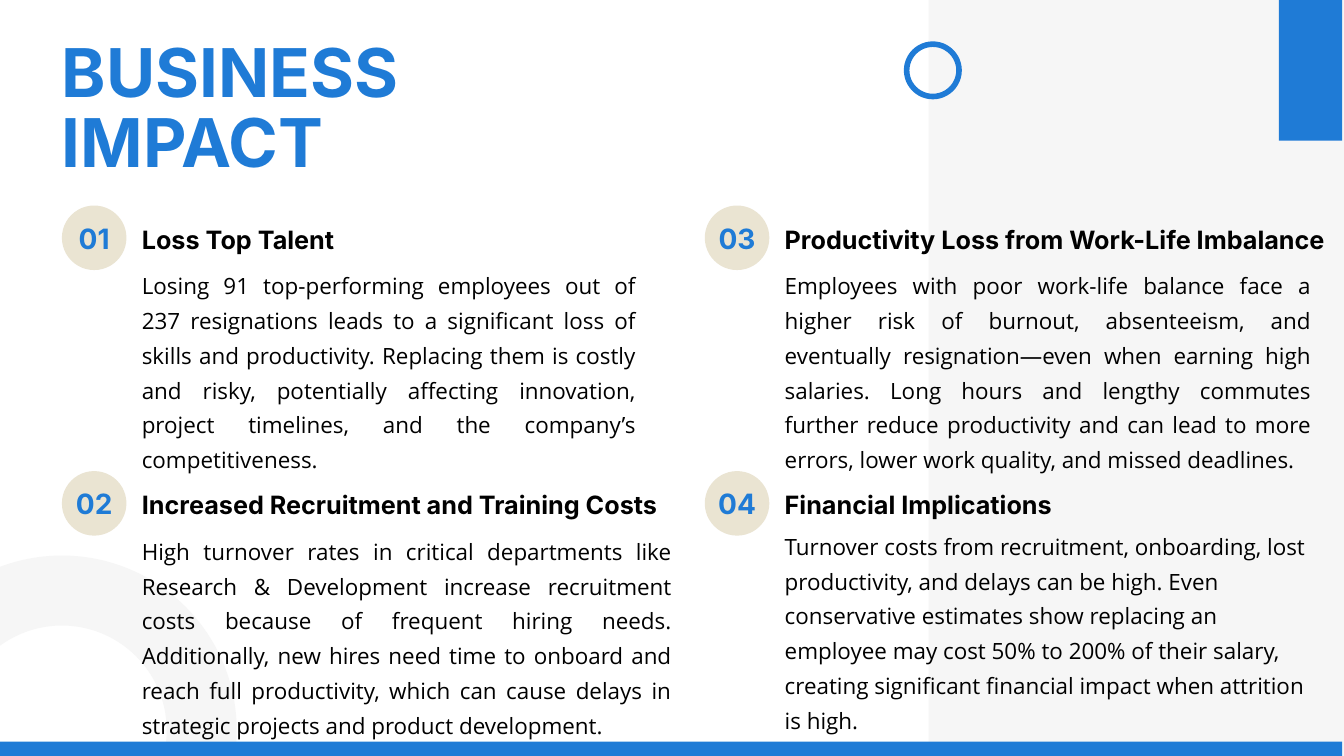
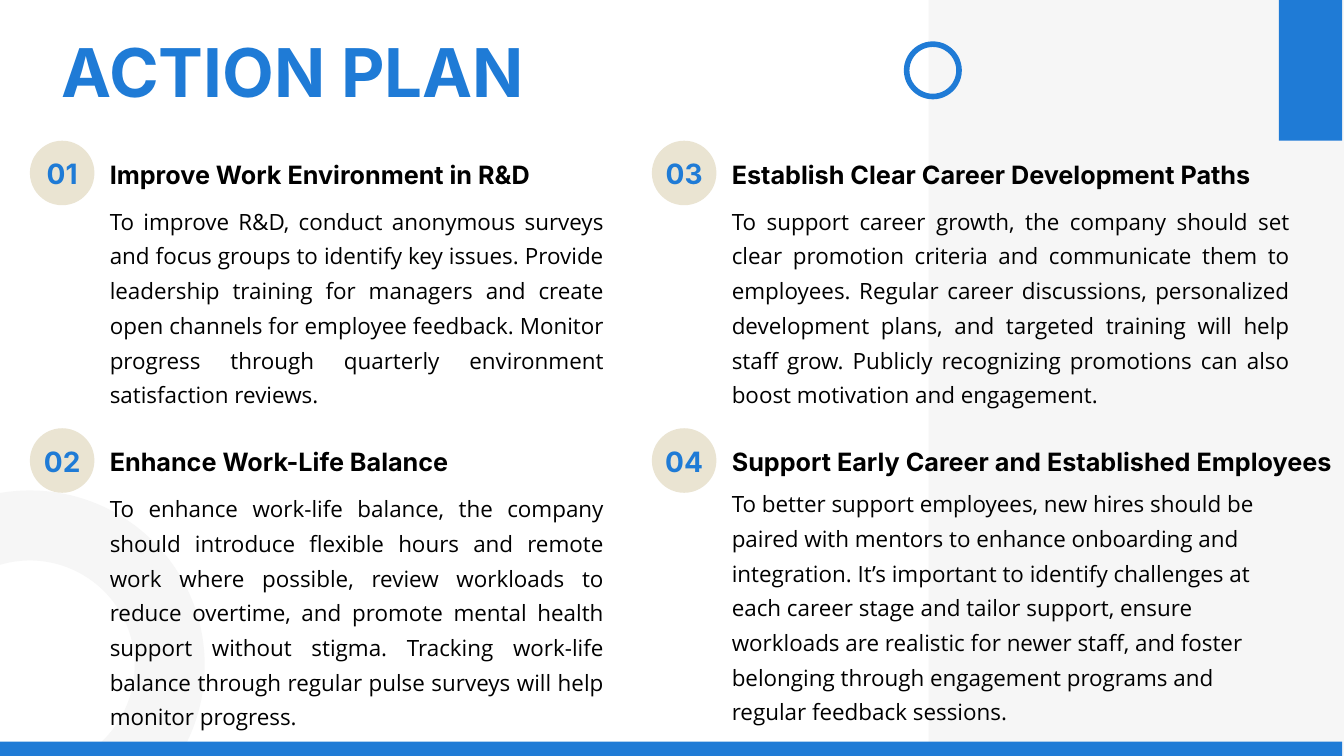
from dataclasses import dataclass

from pptx import Presentation
from pptx.dml.color import RGBColor
from pptx.enum.shapes import MSO_SHAPE
from pptx.enum.text import MSO_ANCHOR, MSO_AUTO_SIZE, PP_ALIGN
from pptx.util import Cm, Pt


@dataclass(frozen=True)
class TextStyle:
    font: str
    size: float
    spacing: float
    color: RGBColor
    bold: bool


@dataclass(frozen=True)
class Theme:
    blue = RGBColor(0x1F, 0x7B, 0xD6)
    gray = RGBColor(0xF6, 0xF6, 0xF6)
    sand = RGBColor(0xEA, 0xE4, 0xD2)
    black = RGBColor(0, 0, 0)
    title = TextStyle("Inter", 72, 75.6, blue, True)
    number = TextStyle("Inter", 30, 42, blue, True)
    heading = TextStyle("Inter", 27, 37.8, black, True)
    body = TextStyle("Open Sans", 24, 37.2, black, False)


@dataclass(frozen=True)
class Point:
    """One numbered point; widths and heights are in centimetres."""
    heading: str
    heading_width: float
    body: str
    body_width: float
    body_height: float = 7.7
    body_offset: float = 2.24
    align: PP_ALIGN = PP_ALIGN.JUSTIFY


@dataclass(frozen=True)
class PointSlide:
    title_lines: list
    columns: tuple
    rows: tuple
    ring_center: float
    points: list


THEME = Theme()
SLIDE_WIDTH, SLIDE_HEIGHT = 50.8, 28.58
BADGE_SIZE = 2.44
RING_SIZE = 10.57
TEXT_INDENT = 3.02
HEADING_OFFSET = 0.51
TITLE_LEFT, TITLE_TOP = 2.34, 1.52

SLIDES = [
    PointSlide(
        ["BUSINESS", "IMPACT"], (2.34, 26.64), (7.77, 17.81), 27.61,
        [
            Point(
                "Loss Top Talent", 13.54,
                "Losing 91 top-performing employees out of 237 resignations leads to a "
                "significant loss of skills and productivity. Replacing them is costly and "
                "risky, potentially affecting innovation, project timelines, and the "
                "company’s competitiveness.", 18.67),
            Point(
                "Increased Recruitment and Training Costs", 20.04,
                "High turnover rates in critical departments like Research & Development "
                "increase recruitment costs because of frequent hiring needs. Additionally, "
                "new hires need time to onboard and reach full productivity, which can "
                "cause delays in strategic projects and product development.", 20.02),
            Point(
                "Productivity Loss from Work-Life Imbalance", 21.08,
                "Employees with poor work-life balance face a higher risk of burnout, "
                "absenteeism, and eventually resignation—even when earning high salaries. "
                "Long hours and lengthy commutes further reduce productivity and can lead "
                "to more errors, lower work quality, and missed deadlines.", 19.89),
            Point(
                "Financial Implications", 18.67,
                "Turnover costs from recruitment, onboarding, lost productivity, and delays "
                "can be high. Even conservative estimates show replacing an employee may "
                "cost 50% to 200% of their salary, creating significant financial impact "
                "when attrition is high.", 19.89, body_offset=2.05, align=PP_ALIGN.LEFT),
        ]),
    PointSlide(
        ["ACTION PLAN"], (1.13, 24.64), (5.32, 16.19), 25.15,
        [
            Point(
                "Improve Work Environment in R&D", 20.02,
                "To improve R&D, conduct anonymous surveys and focus groups to identify key "
                "issues. Provide leadership training for managers and create open channels "
                "for employee feedback. Monitor progress through quarterly environment "
                "satisfaction reviews.", 18.67),
            Point(
                "Enhance Work-Life Balance", 20.04,
                "To enhance work-life balance, the company should introduce flexible hours "
                "and remote work where possible, review workloads to reduce overtime, and "
                "promote mental health support without stigma. Tracking work-life balance "
                "through regular pulse surveys will help monitor progress.", 18.67, 9),
            Point(
                "Establish Clear Career Development Paths", 21.08,
                "To support career growth, the company should set clear promotion criteria "
                "and communicate them to employees. Regular career discussions, "
                "personalized development plans, and targeted training will help staff "
                "grow. Publicly recognizing promotions can also boost motivation and "
                "engagement.", 21.08),
            Point(
                "Support Early Career and Established Employees", 23.93,
                "To better support employees, new hires should be paired with mentors to "
                "enhance onboarding and integration. It’s important to identify challenges "
                "at each career stage and tailor support, ensure workloads are realistic "
                "for newer staff, and foster belonging through engagement programs and "
                "regular feedback sessions.", 19.89, 9, 2.05, PP_ALIGN.LEFT),
        ]),
]


def write_lines(frame, lines, style, align):
    frame.margin_left = frame.margin_top = frame.margin_right = frame.margin_bottom = 0
    for index, line in enumerate(lines):
        paragraph = frame.add_paragraph() if index else frame.paragraphs[0]
        paragraph.text = line
        paragraph.alignment = align
        paragraph.line_spacing = Pt(style.spacing)
        paragraph.font.name = style.font
        paragraph.font.size = Pt(style.size)
        paragraph.font.bold = style.bold
        paragraph.font.color.rgb = style.color


def add_text(slide, lines, style, left, top, width, height, align=PP_ALIGN.LEFT):
    shape = slide.shapes.add_textbox(Cm(left), Cm(top), Cm(width), Cm(height))
    shape.text_frame.word_wrap = True
    shape.text_frame.auto_size = MSO_AUTO_SIZE.SHAPE_TO_FIT_TEXT
    write_lines(shape.text_frame, lines, style, align)


def add_filled(slide, kind, left, top, width, height, color):
    shape = slide.shapes.add_shape(kind, Cm(left), Cm(top), Cm(width), Cm(height))
    shape.shadow.inherit = False
    shape.fill.solid()
    shape.fill.fore_color.rgb = color
    shape.line.fill.background()
    return shape


def add_ring(slide, center_x, center_y, size, color, weight):
    shape = slide.shapes.add_shape(
        MSO_SHAPE.OVAL, Cm(center_x - size / 2), Cm(center_y - size / 2), Cm(size), Cm(size))
    shape.shadow.inherit = False
    shape.fill.background()
    shape.line.color.rgb = color
    shape.line.width = Pt(weight)


def add_decoration(slide, ring_x, ring_y):
    add_filled(slide, MSO_SHAPE.RECTANGLE, 35.1, 0, SLIDE_WIDTH - 35.1, SLIDE_HEIGHT, THEME.gray)
    add_ring(slide, ring_x, ring_y, RING_SIZE, THEME.gray, 75)
    add_filled(slide, MSO_SHAPE.RECTANGLE, 48.34, 0, 2.39, 5.32, THEME.blue)
    add_filled(slide, MSO_SHAPE.RECTANGLE, 0, 28.04, 50.73, 0.54, THEME.blue)
    add_ring(slide, 35.26, 2.66, 1.98, THEME.blue, 6)


def add_badge(slide, number, left, top):
    badge = add_filled(slide, MSO_SHAPE.OVAL, left, top, BADGE_SIZE, BADGE_SIZE, THEME.sand)
    frame = badge.text_frame
    frame.word_wrap = False
    frame.vertical_anchor = MSO_ANCHOR.MIDDLE
    write_lines(frame, [f"{number:02}"], THEME.number, PP_ALIGN.CENTER)
    frame.margin_bottom = Cm(0.18)


def add_point(slide, number, point, left, top):
    add_badge(slide, number, left, top)
    text_left = left + TEXT_INDENT
    add_text(slide, [point.heading], THEME.heading, text_left, top + HEADING_OFFSET,
             point.heading_width, 1.3)
    add_text(slide, [point.body], THEME.body, text_left, top + point.body_offset,
             point.body_width, point.body_height, point.align)


def add_point_slide(presentation, content):
    slide = presentation.slides.add_slide(presentation.slide_layouts[6])
    add_decoration(slide, content.columns[0], content.ring_center)
    add_text(slide, content.title_lines, THEME.title, TITLE_LEFT, TITLE_TOP,
             19.86, 2.7 * len(content.title_lines))
    for index, point in enumerate(content.points):
        column, row = divmod(index, len(content.rows))
        add_point(slide, index + 1, point, content.columns[column], content.rows[row])


def main():
    presentation = Presentation()
    presentation.slide_width = Cm(SLIDE_WIDTH)
    presentation.slide_height = Cm(SLIDE_HEIGHT)
    for content in SLIDES:
        add_point_slide(presentation, content)
    presentation.save("out.pptx")


if __name__ == "__main__":
    main()
